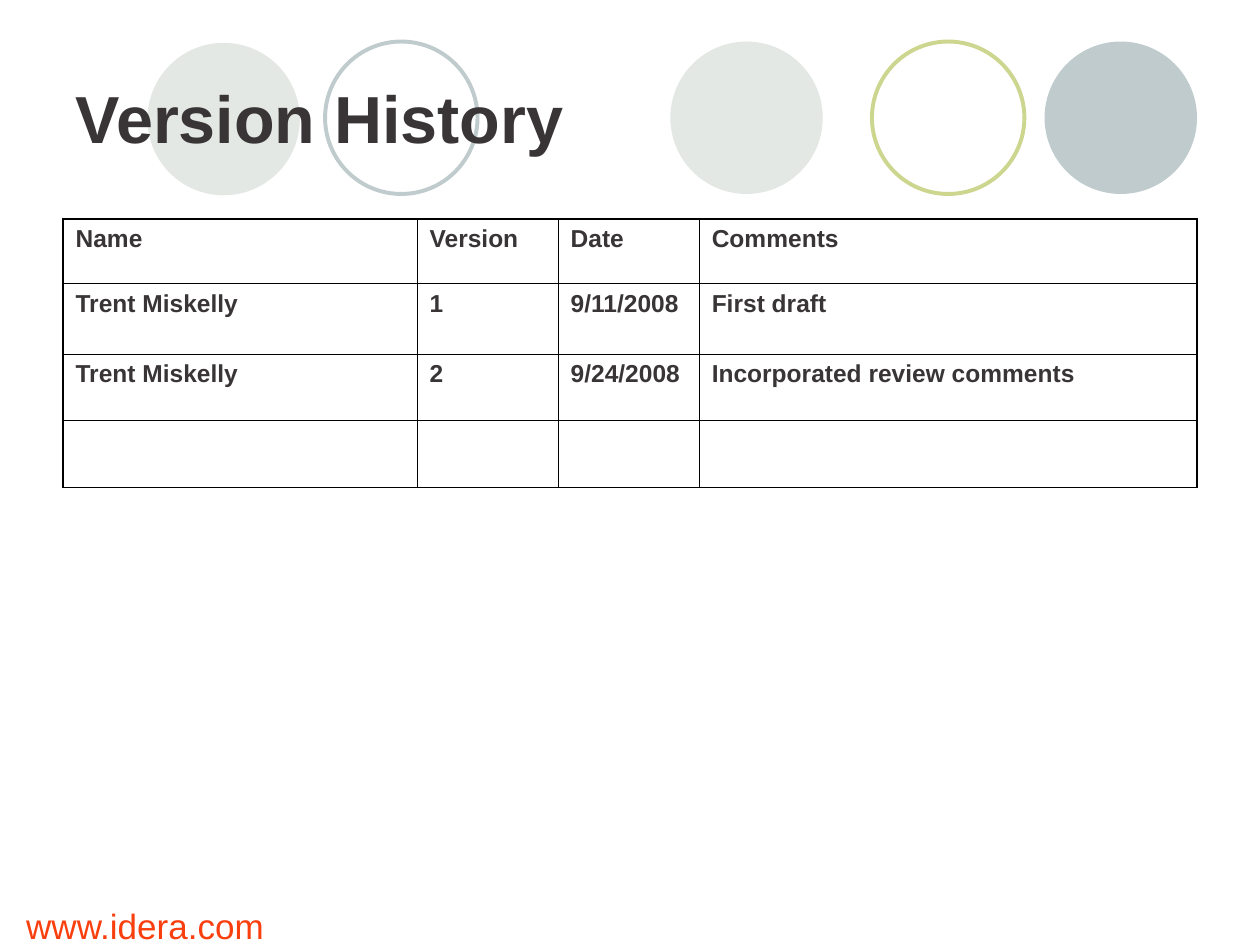
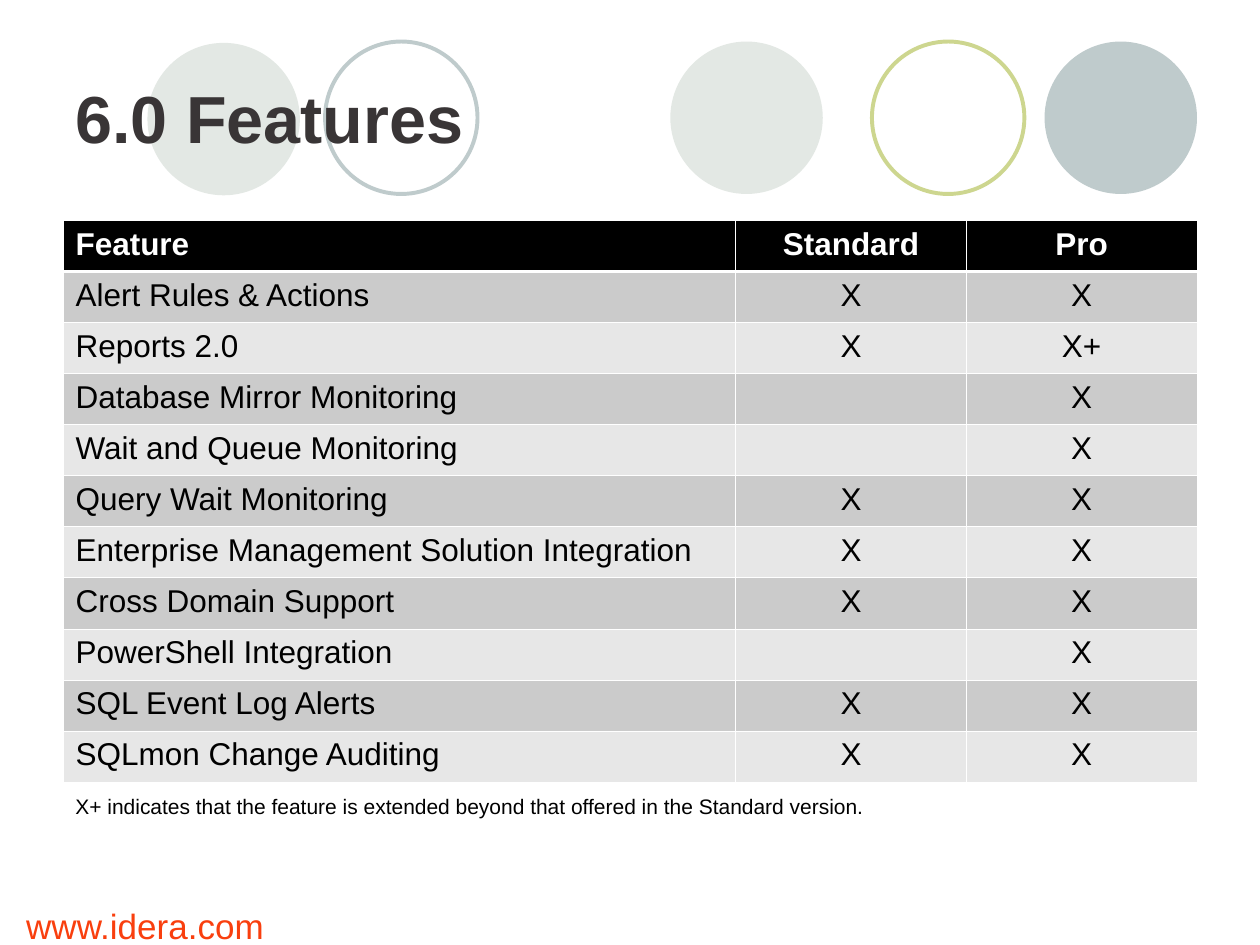
from lxml import etree
from pptx import Presentation
from pptx.dml.color import RGBColor
from pptx.enum.shapes import MSO_SHAPE
from pptx.enum.text import MSO_ANCHOR, PP_ALIGN
from pptx.oxml.ns import qn
from pptx.util import Inches, Pt

OVAL = MSO_SHAPE.OVAL
MIDDLE, TOP = MSO_ANCHOR.MIDDLE, MSO_ANCHOR.TOP
LEFT, CENTER = PP_ALIGN.LEFT, PP_ALIGN.CENTER

FONT = "Arial"
COLORS = {
    "ink": "393536", "black": "000000", "white": "FFFFFF",
    "mist": "E3E8E4", "slate": "BFCBCC", "lime": "CDD68F",
    "link": "F93F0E", "dark": "CBCBCB", "light": "E7E7E7",
}
EDGE = 0.5
WIDTH = 9
THIN, FRAME, RULE = 0.45, 1.08, 1.47

# left, top, colour, filled
CIRCLES = [
    (5.32, 0.33, "mist", True),
    (8.29, 0.33, "slate", True),
    (1.17, 0.34, "mist", True),
    (6.92, 0.33, "lime", False),
    (2.58, 0.33, "slate", False),
]
HISTORY = [
    ("Name", "Version", "Date", "Comments"),
    ("Trent Miskelly", "1", "9/11/2008", "First draft"),
    ("Trent Miskelly", "2", "9/24/2008", "Incorporated review comments"),
    ("", "", "", ""),
]
FEATURES = [
    ("Feature", "Standard", "Pro"),
    ("Alert Rules & Actions", "X", "X"),
    ("Reports 2.0", "X", "X+"),
    ("Database Mirror Monitoring", "", "X"),
    ("Wait and Queue Monitoring", "", "X"),
    ("Query Wait Monitoring", "X", "X"),
    ("Enterprise Management Solution Integration", "X", "X"),
    ("Cross Domain Support", "X", "X"),
    ("PowerShell Integration", "", "X"),
    ("SQL Event Log Alerts", "X", "X"),
    ("SQLmon Change Auditing", "X", "X"),
]


def rgb(name):
    return RGBColor.from_string(COLORS[name])


def write(frame, text, size, color, bold=False, align=LEFT):
    para = frame.paragraphs[0]
    para.text = text
    para.alignment = align
    font = para.font
    font.name, font.size, font.bold = FONT, Pt(size), bold
    font.color.rgb = rgb(color)


def add_text(slide, box, text, size, color, bold=False, anchor=TOP, wrap=True):
    frame = slide.shapes.add_textbox(*map(Inches, box)).text_frame
    frame.word_wrap = wrap
    frame.vertical_anchor = anchor
    write(frame, text, size, color, bold)


def add_circle(slide, left, top, color, filled):
    size = Inches(1.21)
    ring = slide.shapes.add_shape(OVAL, Inches(left), Inches(top), size, size)
    ring.shadow.inherit = False
    if filled:
        ring.fill.solid()
        ring.fill.fore_color.rgb = rgb(color)
        ring.line.fill.background()
    else:
        ring.fill.background()
        ring.line.color.rgb = rgb(color)
        ring.line.width = Pt(2.25)


def add_page(deck, title):
    """Start a slide with the circle band, its title and the web address."""
    slide = deck.slides.add_slide(deck.slide_layouts[6])
    for circle in CIRCLES:
        add_circle(slide, *circle)
    add_text(slide, (EDGE, 0.3, WIDTH, 1.25), title, 38, "ink", True, MIDDLE)
    add_text(slide, (0.11, 7.13, 2.33, 0.5), "www.idera.com", 20, "link")
    return slide


def add_grid(slide, top, cols, rows):
    """Add an unbanded table with the given column widths and row heights."""
    box = map(Inches, (EDGE, top, WIDTH, sum(rows)))
    grid = slide.shapes.add_table(len(rows), len(cols), *box).table
    grid.horz_banding = False
    for col, width in zip(grid.columns, cols):
        col.width = Inches(width)
    for row, height in zip(grid.rows, rows):
        row.height = Inches(height)
    return grid


def set_edges(cell, color, widths):
    """Draw the cell's borders; widths run left, right, top, bottom."""
    props = cell._tc.get_or_add_tcPr()
    for side, width in zip("LRTB", widths):
        line = etree.SubElement(props, qn(f"a:ln{side}"), w=str(Pt(width)))
        fill = etree.SubElement(line, qn("a:solidFill"))
        etree.SubElement(fill, qn("a:srgbClr"), val=COLORS[color])


def fill_history(grid):
    last_row, last_col = len(grid.rows) - 1, len(grid.columns) - 1
    grid.first_row = False
    for r, texts in enumerate(HISTORY):
        for c, text in enumerate(texts):
            cell = grid.cell(r, c)
            outer = (c == 0, c == last_col, r == 0, r == last_row)
            set_edges(cell, "black", [FRAME if o else THIN for o in outer])
            cell.fill.background()
            write(cell.text_frame, text, 14, "ink", True)


def fill_features(grid):
    for r, texts in enumerate(FEATURES):
        head = r == 0
        shade = "black" if head else "dark" if r % 2 else "light"
        widths = (THIN, THIN, RULE if r == 1 else THIN, RULE if head else THIN)
        for c, text in enumerate(texts):
            cell = grid.cell(r, c)
            set_edges(cell, "white", widths)
            cell.fill.solid()
            cell.fill.fore_color.rgb = rgb(shade)
            write(cell.text_frame, text, 18, "white" if head else "black",
                  head, CENTER if c else LEFT)


def main():
    deck = Presentation()
    deck.slide_width, deck.slide_height = Inches(10), Inches(7.5)

    slide = add_page(deck, "Version History")
    fill_history(add_grid(slide, 1.74, (2.81, 1.12, 1.12, 3.95),
                          (0.51, 0.56, 0.53, 0.53)))

    slide = add_page(deck, "6.0 Features")
    count = len(FEATURES)
    fill_features(add_grid(slide, 1.75, (5.34, 1.83, 1.83),
                           [4.46 / count] * count))
    add_text(slide, (EDGE, 6.25, 6.47, 0.3),
             "X+ indicates that the feature is extended beyond that offered "
             "in the Standard version.", 12, "black", wrap=False)

    deck.save("out.pptx")


if __name__ == "__main__":
    main()
